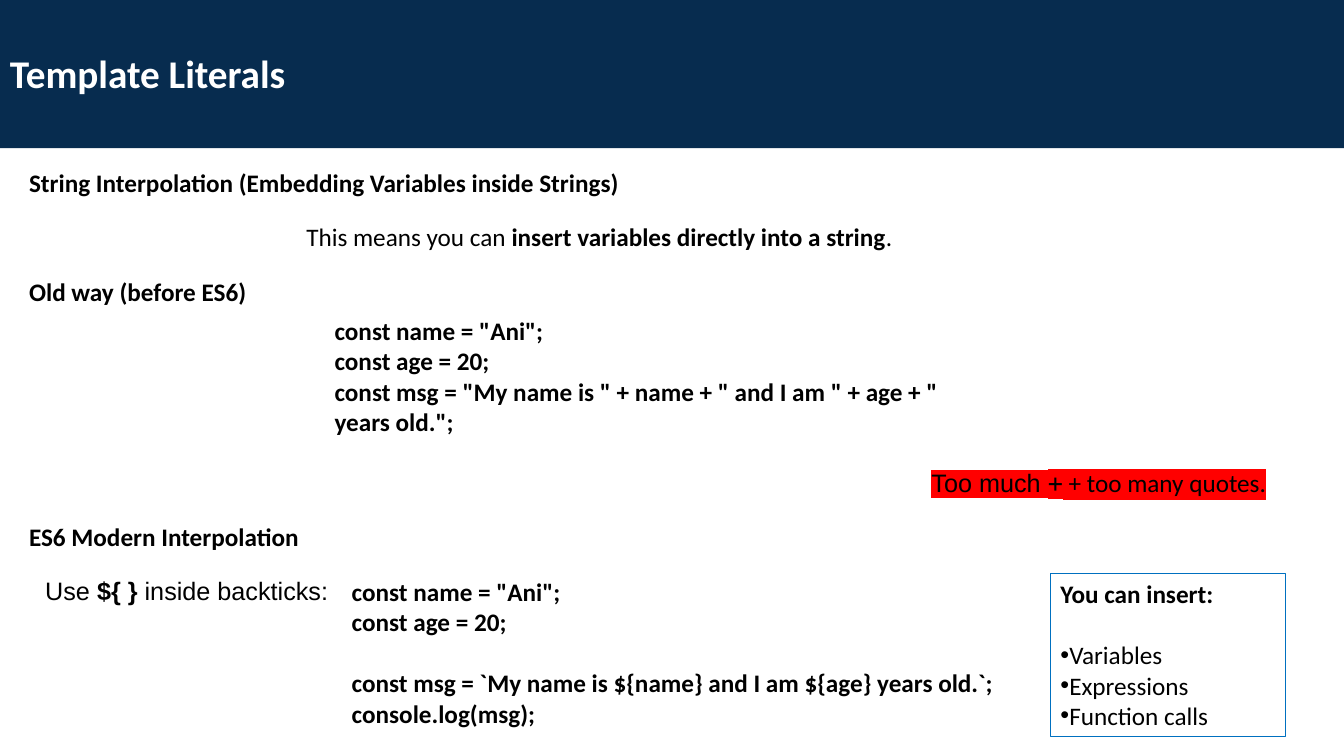
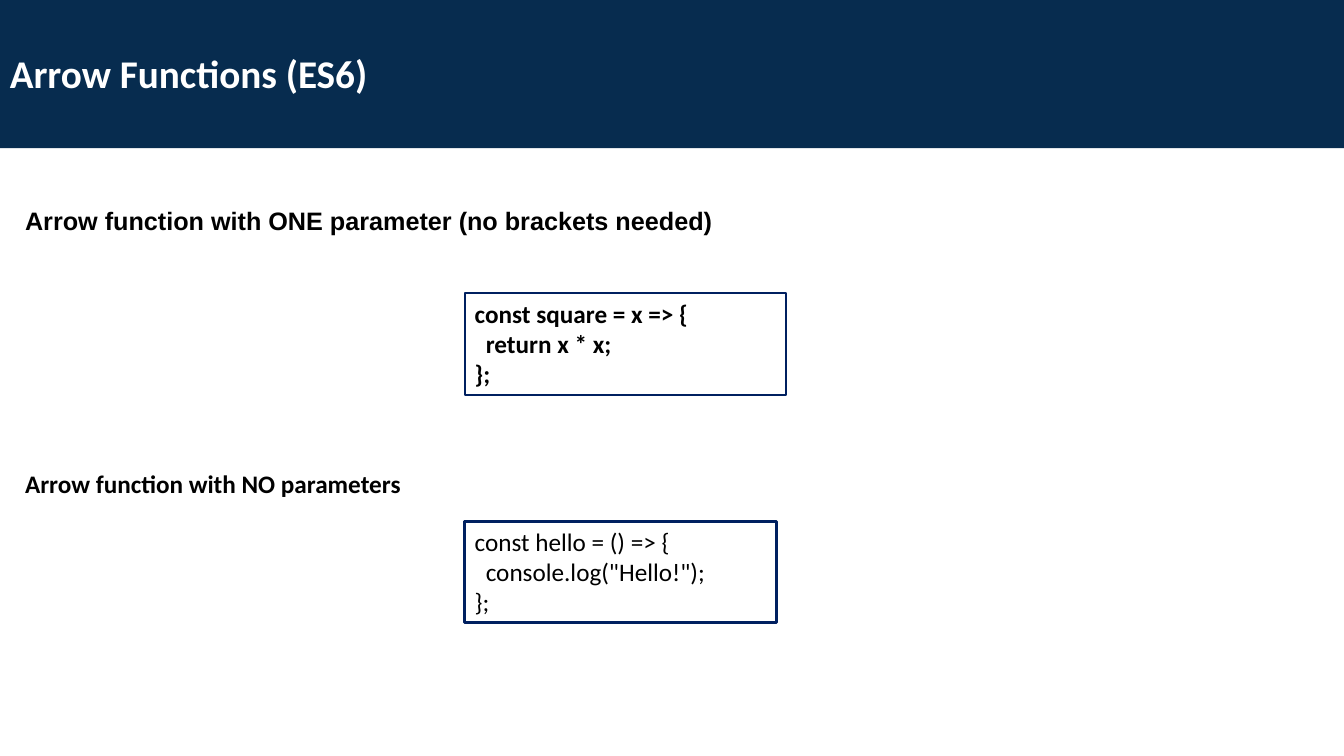
from lxml import etree
from pptx import Presentation
from pptx import util as u
from pptx.dml.color import RGBColor
from pptx.enum import shapes, text
from pptx.oxml.ns import qn

PX = 9144  # EMU in one px, 100 px to the inch
WIDTH, HEIGHT = 1333, 750
NAVY, WHITE, BLACK = "072C4F", "FFFFFF", "000000"
BLUE, INDIGO, RED = "0070C0", "002060", "FF0000"
BODY, PLAIN, MONO = "Calibri", "Arial", "DejaVu Sans Mono"
BODY_SIZE, TITLE_SIZE = 18, 28
BLANK_LINE = 22  # points
LINE_HEIGHT, CODE_INDENT = 40, 11
TEXT_WIDTH = 674


def px(length):
    return u.Emu(length * PX)


def color(value):
    return RGBColor.from_string(value)


class Deck:
    """Holds the style and the slide being built."""

    def __init__(self):
        self.presentation = Presentation()
        self.presentation.slide_width = px(WIDTH)
        self.presentation.slide_height = px(HEIGHT)
        self.slide = None

    def new_slide(self, title):
        layout = self.presentation.slide_layouts[6]
        self.slide = self.presentation.slides.add_slide(layout)
        band = self.rectangle(0, -2, WIDTH, 149, fill=NAVY)
        self.set_lines(band, [title], size=TITLE_SIZE, fill=WHITE, bold=True)
        band.text_frame.vertical_anchor = text.MSO_ANCHOR.MIDDLE

    def rectangle(self, left, top, width, height, fill=None, line=None, weight=1):
        shape = self.slide.shapes.add_shape(
            shapes.MSO_SHAPE.RECTANGLE, px(left), px(top), px(width), px(height))
        shape.shadow.inherit = False
        if fill:
            shape.fill.solid()
            shape.fill.fore_color.rgb = color(fill)
        else:
            shape.fill.background()
        if line:
            shape.line.color.rgb = color(line)
            shape.line.width = u.Pt(weight)
        else:
            shape.line.fill.background()
        return shape

    def text_box(self, left, top, lines, width=TEXT_WIDTH, height=LINE_HEIGHT,
                 wrap=True, **style):
        box = self.slide.shapes.add_textbox(px(left), px(top), px(width), px(height))
        self.set_lines(box, lines, wrap, **style)
        return box

    def heading(self, left, top, words):
        self.text_box(left, top, [words], bold=True)

    def framed_text(self, left, top, width, height, lines, line, weight, **style):
        frame = self.rectangle(left, top, width, height, line=line, weight=weight)
        self.set_lines(frame, lines, **style)
        return frame

    def set_lines(self, shape, lines, wrap=True, **style):
        """A line is a string, or a list of (words, style changes)."""
        frame = shape.text_frame
        frame.word_wrap = wrap
        frame.vertical_anchor = text.MSO_ANCHOR.TOP
        for index, line in enumerate(lines):
            paragraph = frame.add_paragraph() if index else frame.paragraphs[0]
            paragraph.alignment = text.PP_ALIGN.LEFT
            pieces = [(line, {})] if isinstance(line, str) else line
            for words, changes in pieces:
                run = paragraph.add_run()
                run.text = words
                self.format_run(run, **{**style, **changes})

    def format_run(self, run, font=BODY, size=BODY_SIZE, fill=BLACK, bold=False,
                   highlight=None):
        run.font.size = u.Pt(size)
        run.font.bold = bold
        run.font.color.rgb = color(fill)
        run.font.name = font
        if highlight:
            mark = etree.Element(qn("a:highlight"))
            etree.SubElement(mark, qn("a:srgbClr"), val=highlight)
            run._r.get_or_add_rPr().find(qn("a:solidFill")).addnext(mark)

    def gap_before(self, shape, index):
        shape.text_frame.paragraphs[index].space_before = u.Pt(BLANK_LINE)

    def indent(self, shape, index):
        properties = shape.text_frame.paragraphs[index]._p.get_or_add_pPr()
        properties.set("marL", str(px(CODE_INDENT)))

    def bullets(self, shape, first):
        for paragraph in shape.text_frame.paragraphs[first:]:
            properties = paragraph._p.get_or_add_pPr()
            properties.set("marL", "0")
            properties.set("indent", "0")
            etree.SubElement(properties, qn("a:buFont"), typeface=PLAIN)
            etree.SubElement(properties, qn("a:buChar"), char="•")


def template_literals(deck):
    deck.new_slide("Template Literals")
    for top, words in [
        (161, "String Interpolation (Embedding Variables inside Strings)"),
        (269, "Old way (before ES6)"),
        (512, "ES6 Modern Interpolation"),
    ]:
        deck.heading(19, top, words)
    deck.text_box(294, 215, [[
        ("This means you can ", {}),
        ("insert variables directly into a string", {"bold": True}),
        (".", {}),
    ]])

    # Old way
    variables = ['const name = "Ani";', "const age = 20;"]
    deck.text_box(322, 308, variables + [
        'const msg = "My name is " + name + " and I am " + age + " years old.";',
    ], height=131, bold=True)
    deck.text_box(914, 459, [[
        ("Too much ", {"font": PLAIN}),
        ("+", {"font": MONO}),
        (" + too many quotes.", {}),
    ]], width=361, wrap=False, highlight=RED)

    # Modern way
    deck.text_box(35, 566, [[
        ("Use ", {}),
        ("${ }", {"bold": True}),
        (" inside backticks:", {}),
    ]], width=303, wrap=False, font=PLAIN)
    code = deck.text_box(339, 567, variables + [
        "const msg = `My name is ${name} and I am ${age} years old.`;",
        "console.log(msg);",
    ], height=162, bold=True)
    deck.gap_before(code, 2)

    # What can be inserted
    options = deck.framed_text(1042, 569, 233, 162, [
        [("You can insert:", {"bold": True})],
        "Variables", "Expressions", "Function calls",
    ], BLUE, 0.75)
    deck.gap_before(options, 1)
    deck.bullets(options, 1)


def arrow_functions(deck):
    deck.new_slide("Arrow Functions (ES6)")
    deck.text_box(15, 199, ["Arrow function with ONE parameter (no brackets needed)"],
                  width=709, wrap=False, font=PLAIN, bold=True)
    deck.heading(15, 460, "Arrow function with NO parameters")

    # Code samples
    for top, width, weight, bold, lines in [
        (291, 319, 1.5, True, ["const square = x => {", "return x * x;", "};"]),
        (517, 309, 2.25, False, ["const hello = () => {", 'console.log("Hello!");', "};"]),
    ]:
        sample = deck.framed_text(461, top, width, 101, lines, INDIGO, weight, bold=bold)
        deck.indent(sample, 1)


def main():
    deck = Deck()
    template_literals(deck)
    arrow_functions(deck)
    deck.presentation.save("out.pptx")


if __name__ == "__main__":
    main()
